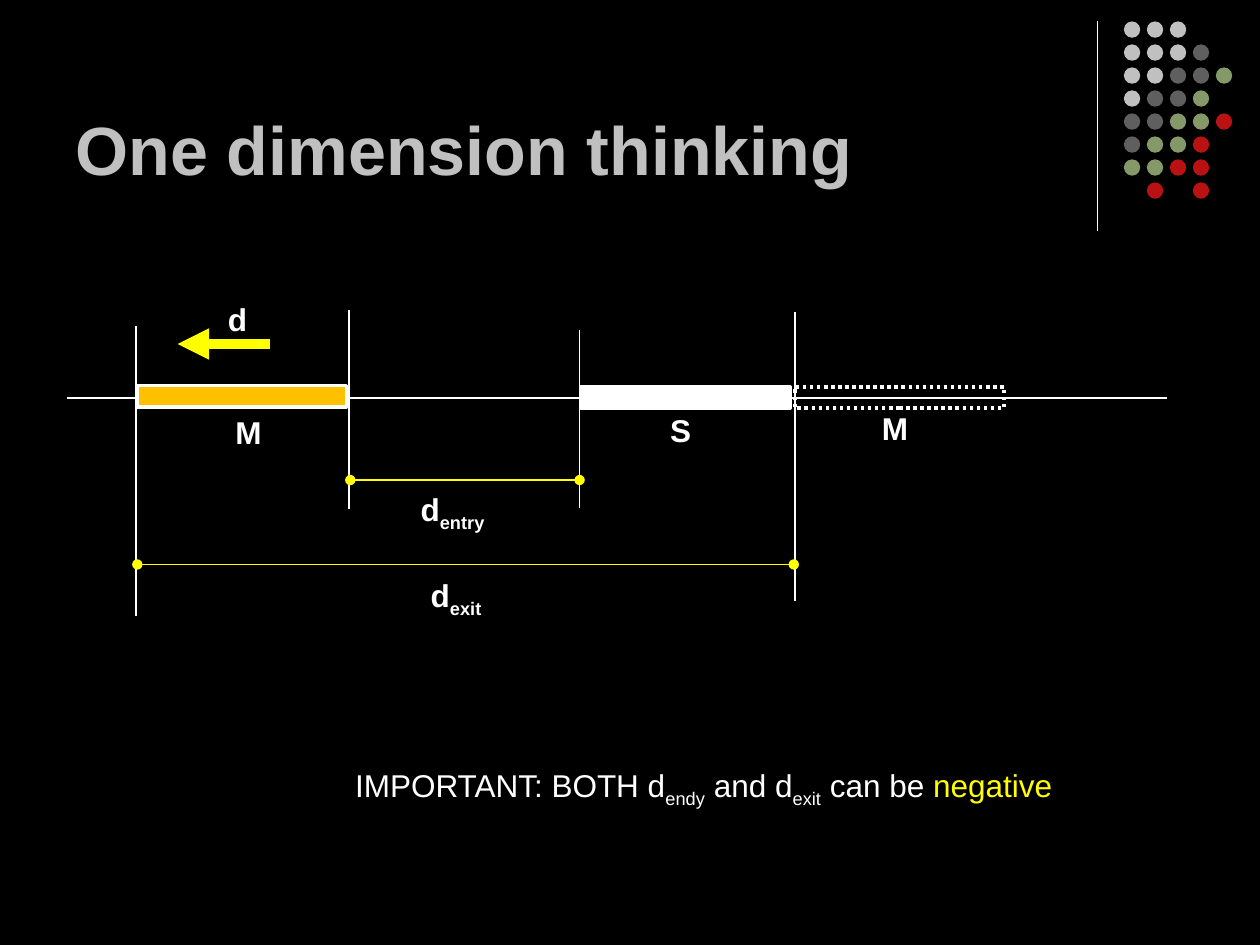
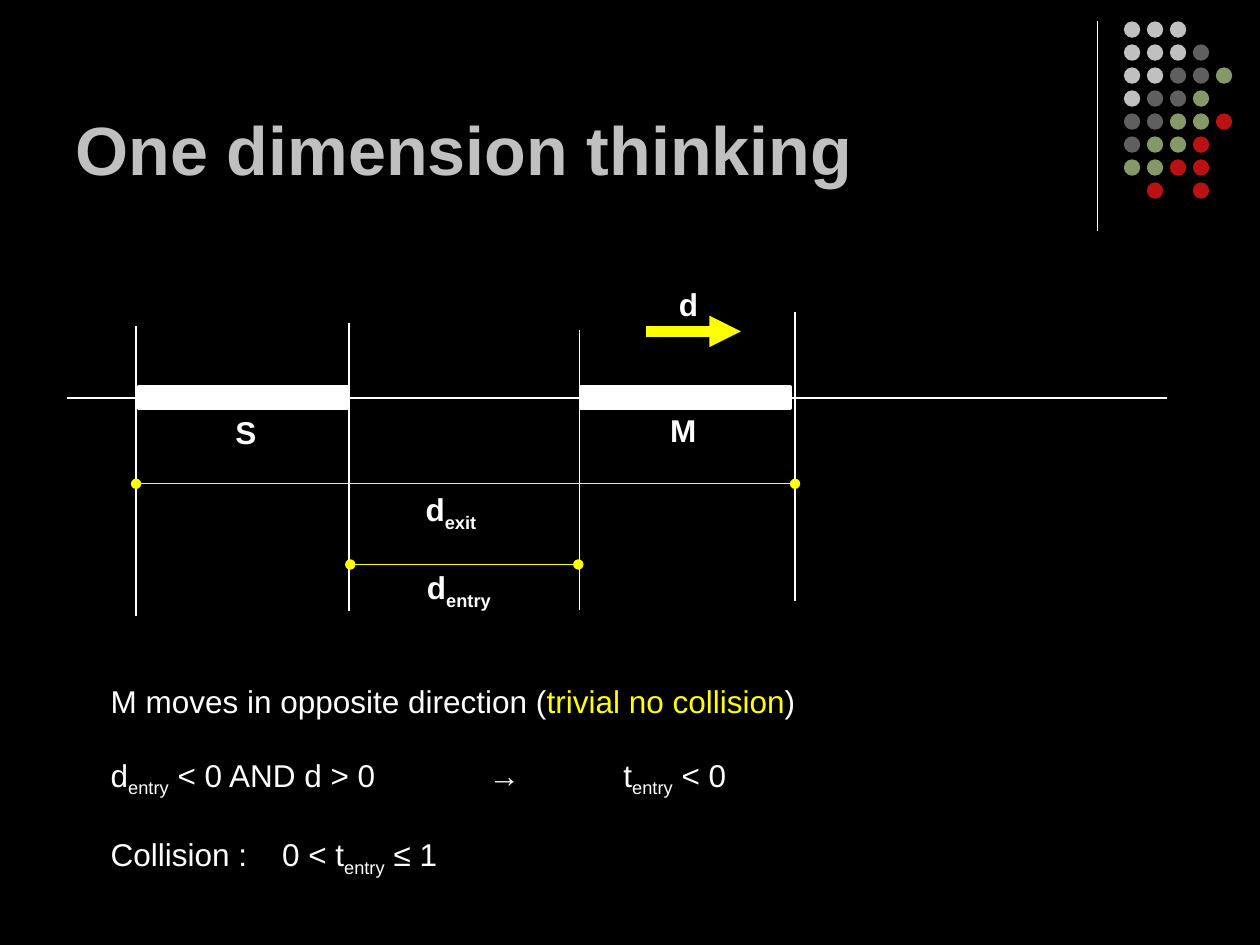
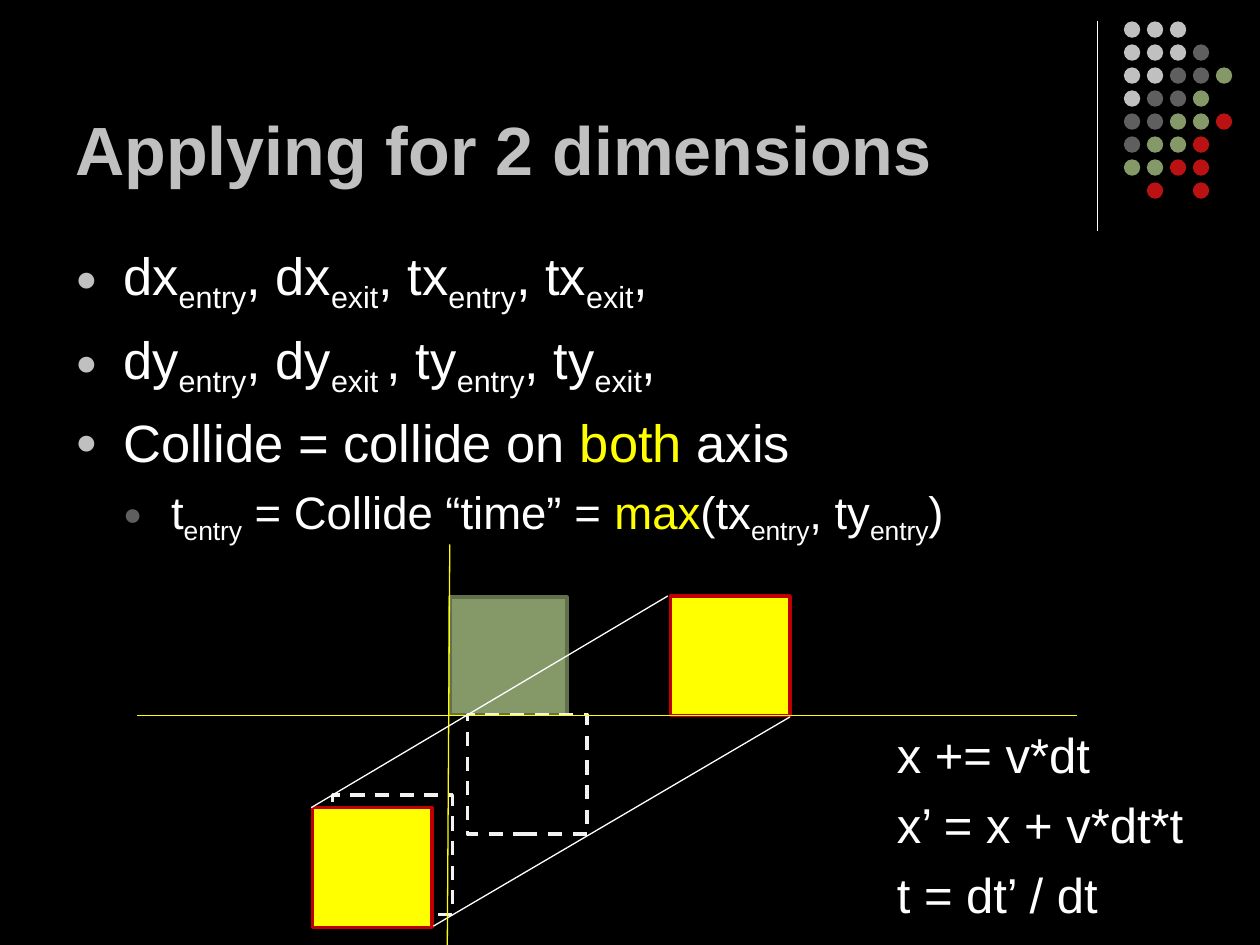
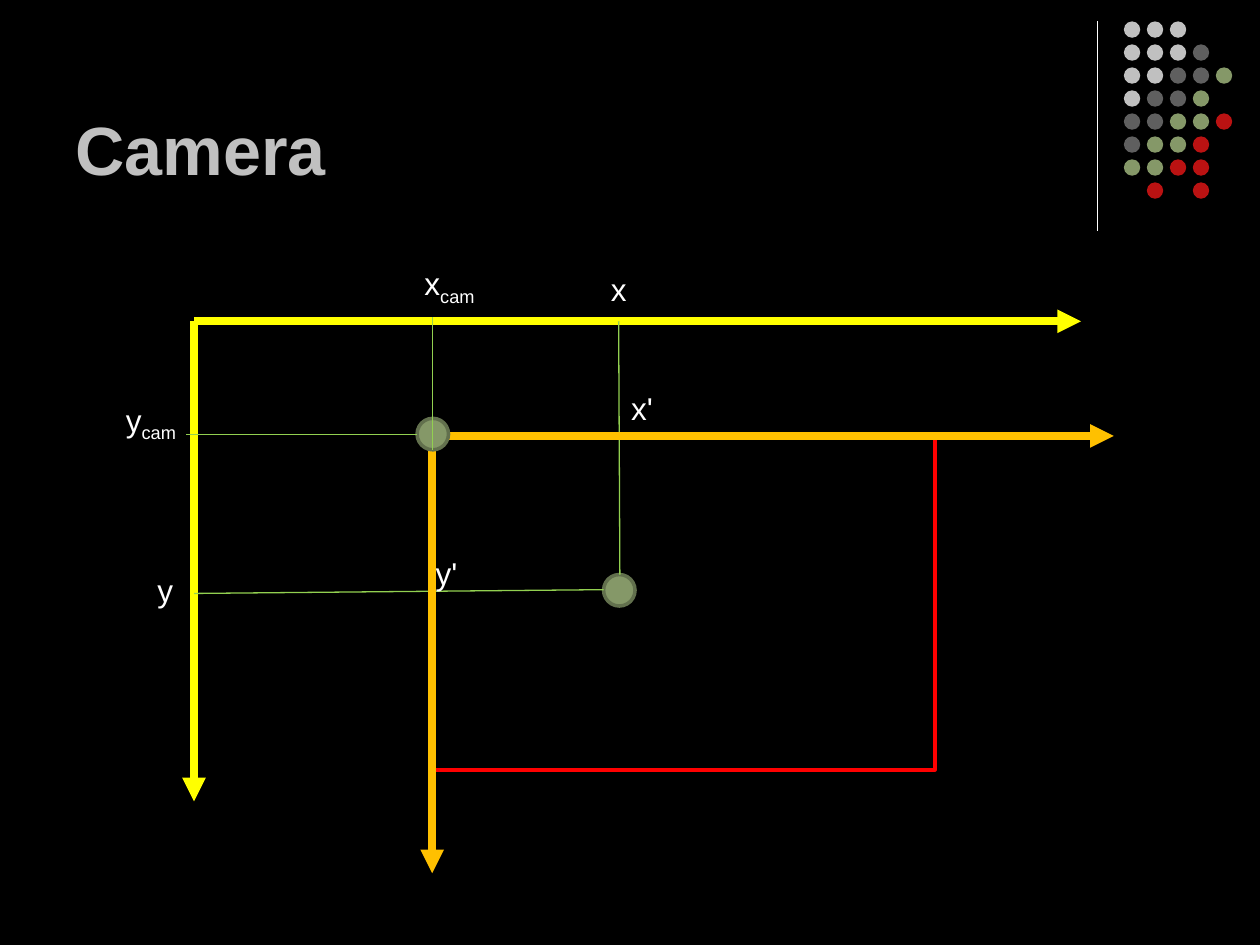
from lxml.etree import SubElement
from pptx import Presentation
from pptx.dml.color import RGBColor
from pptx.enum.dml import MSO_LINE_DASH_STYLE as Dash
from pptx.enum.shapes import MSO_CONNECTOR, MSO_SHAPE as Shape
from pptx.enum.text import MSO_ANCHOR, MSO_AUTO_SIZE
from pptx.oxml.ns import qn
from pptx.util import Inches, Pt

BLACK, WHITE, PALE, SILVER = "000000", "FFFFFF", "F2F2F2", "C0C0C0"
GREY, GREEN, DARK_GREEN, LIME = "5F5F5F", "859868", "62704D", "92D050"
CRIMSON, RED, DARK_RED = "BA1212", "FF0000", "C00000"
YELLOW, ORANGE = "FFFF00", "FFC000"

DOT_ROWS = ["SSS", "SSSG", "SSGGO", "SGGO", "GGOOR", "GOOR", "OORR", " R R"]
DOT_COLORS = {"S": SILVER, "G": GREY, "O": GREEN, "R": CRIMSON}
DOT_PITCH = 0.73 / 4


def rgb(color):
    return RGBColor.from_string(color)


class Deck:
    font = "Arial"

    def __init__(self):
        self.prs = Presentation()
        self.prs.slide_width, self.prs.slide_height = Inches(10), Inches(7.5)
        self.slide = None

    def new_slide(self, title):
        self.slide = self.prs.slides.add_slide(self.prs.slide_layouts[6])
        background = self.slide.background.fill
        background.solid()
        background.fore_color.rgb = rgb(BLACK)
        self.line((8.71, 0.17), (8.71, 1.83))
        dots = self.slide.shapes.add_group_shape().shapes
        for row, marks in enumerate(DOT_ROWS):
            for col, mark in enumerate(marks):
                if mark in DOT_COLORS:
                    place = (8.92 + col * DOT_PITCH, 0.17 + row * DOT_PITCH, 0.13, 0.13)
                    self.shape(place, DOT_COLORS[mark], kind=Shape.OVAL, parent=dots)
        self.text((0.5, 0.13, 8.25, 1.42), [title], size=39, color=SILVER,
                  bold=True, anchor=MSO_ANCHOR.BOTTOM)

    def shape(self, place, fill=None, outline=None, kind=Shape.RECTANGLE, dash=None, parent=None):
        shapes = self.slide.shapes if parent is None else parent
        shape = shapes.add_shape(kind, *map(Inches, place))
        shape.shadow.inherit = False
        if fill:
            shape.fill.solid()
            shape.fill.fore_color.rgb = rgb(fill)
        else:
            shape.fill.background()
        if outline:
            shape.line.color.rgb = rgb(outline)
            shape.line.width = Pt(2)
            if dash:
                shape.line.dash_style = dash
        else:
            shape.line.fill.background()

    def line(self, start, end, color=WHITE, width=0.75, head=None, tail=None):
        connector = self.slide.shapes.add_connector(
            MSO_CONNECTOR.STRAIGHT, *map(Inches, (*start, *end)))
        connector.line.color.rgb = rgb(color)
        connector.line.width = Pt(width)
        properties = connector._element.spPr
        stroke = properties.find(qn("a:ln"))
        for tag, end_type in (("a:headEnd", head), ("a:tailEnd", tail)):
            if end_type:
                SubElement(stroke, qn(tag), type=end_type)
        SubElement(properties, qn("a:effectLst"))

    def arrow(self, start, end, color, width):
        self.line(start, end, color, width, tail="triangle")

    def text(self, place, paragraphs, size=18, color=WHITE, bold=False, wrap=True,
             anchor=MSO_ANCHOR.TOP, space=0, grow=False):
        """Write paragraphs whose parts are split by |: _ marks a subscript, ! a highlight."""
        frame = self.slide.shapes.add_textbox(*map(Inches, place)).text_frame
        frame.word_wrap = wrap
        frame.vertical_anchor = anchor
        frame.auto_size = MSO_AUTO_SIZE.SHAPE_TO_FIT_TEXT if grow else MSO_AUTO_SIZE.NONE
        for index, content in enumerate(paragraphs):
            paragraph = frame.add_paragraph() if index else frame.paragraphs[0]
            if space:
                paragraph.space_before = Pt(space)
            for part in content.split("|"):
                run = paragraph.add_run()
                run.text = part.lstrip("_!")
                run.font.name, run.font.size, run.font.bold = self.font, Pt(size), bold
                run.font.color.rgb = rgb(YELLOW if part.startswith("!") else color)
                if part.startswith("_"):
                    run.font._element.set("baseline", "-25000")
        return frame

    def label(self, left, top, content, width=0.4, bold=False):
        """Place a short one-line label; subscripted ones get a wider, wrapping box."""
        self.text((left, top, width, 0.4), [content], bold=bold, wrap="_" in content, grow=True)

    def bullet(self, paragraph, level, color, size):
        paragraph.level = level
        paragraph.space_before = Pt(0.23 * size)
        properties = paragraph._p.get_or_add_pPr()
        properties.set("marL", str(Inches(0.38 * (level + 1))))
        properties.set("indent", str(-Inches(0.38)))
        SubElement(SubElement(properties, qn("a:buClr")), qn("a:srgbClr"), val=color)
        SubElement(properties, qn("a:buSzPct"), val="70000")
        SubElement(properties, qn("a:buFont"), typeface=self.font)
        SubElement(properties, qn("a:buChar"), char="●")
        for run in paragraph.runs:
            run.font.size = Pt(size)

    def tab_stops(self, frame, stops):
        for paragraph in frame.paragraphs:
            tabs = SubElement(paragraph._p.get_or_add_pPr(), qn("a:tabLst"))
            for stop in stops:
                SubElement(tabs, qn("a:tab"), pos=str(Inches(stop)), algn="l")

    def axis(self):
        self.line((0.53, 3.16), (9.26, 3.16))

    def block(self, left, name, name_at, fill=WHITE, dash=None, top=3.07):
        self.shape((left, top, 1.66, 0.17), fill, WHITE, dash=dash)
        self.label(*name_at, name, bold=True)

    def guides(self, spans):
        for x, top, bottom in spans:
            self.line((x, top), (x, bottom))

    def distance(self, start, end, y, name, name_at):
        self.line((start, y), (end, y), YELLOW, head="oval", tail="oval")
        self.label(*name_at, f"d|_{name}", width=1.04, bold=True)

    def motion(self, start, end, y, name_at):
        self.arrow((start, y), (end, y), YELLOW, 6)
        self.label(*name_at, "d", bold=True)


def approach_slide(deck):
    deck.new_slide("One dimension thinking")
    deck.axis()
    deck.block(4.61, "S", (5.22, 3.21))
    deck.motion(2.14, 1.41, 2.73, (1.71, 2.33))
    deck.block(1.09, "M", (1.77, 3.23), ORANGE, top=3.06)
    deck.block(6.31, "M", (6.9, 3.2), None, Dash.ROUND_DOT)
    deck.guides([(1.08, 2.59, 4.89), (2.77, 2.46, 4.04), (4.6, 2.62, 4.03), (6.31, 2.48, 4.77)])
    deck.distance(2.78, 4.6, 3.81, "entry", (3.24, 3.84))
    deck.distance(1.09, 6.3, 4.48, "exit", (3.32, 4.52))
    deck.text((2.72, 6.03, 6.96, 0.4),
              ["IMPORTANT: BOTH d|_endy| and d|_exit| can be |!negative"], grow=True)


def opposite_slide(deck):
    deck.new_slide("One dimension thinking")
    deck.axis()
    deck.block(4.61, "M", (5.22, 3.21))
    deck.motion(5.13, 5.88, 2.63, (5.29, 2.21))
    deck.block(1.1, "S", (1.77, 3.23))
    deck.guides([(1.08, 2.59, 4.89), (2.77, 2.56, 4.85), (4.6, 2.62, 4.84), (6.31, 2.48, 4.77)])
    deck.distance(1.08, 6.31, 3.84, "exit", (3.28, 3.84))
    deck.distance(2.78, 4.59, 4.48, "entry", (3.29, 4.46))
    conditions = deck.text((0.78, 5.36, 8.38, 1.62), [
        "M moves in opposite direction (|!trivial no collision|)",
        "d|_entry| < 0 AND d > 0\t→\t t|_entry| < 0",
        "Collision :\t0 < t|_entry| ≤ 1",
    ], space=20.7)
    conditions.paragraphs[0].space_before = Pt(0)
    deck.tab_stops(conditions, (1.36, 3, 4))


def two_dimensions_slide(deck):
    deck.new_slide("Applying for 2 dimensions")
    points = deck.text((0.5, 1.88, 9, 2.67), [
        "dx|_entry|, dx|_exit|, tx|_entry|, tx|_exit|,",
        "dy|_entry|, dy|_exit |, ty|_entry|, ty|_exit|,",
        "Collide = collide on |!both| axis",
        "t|_entry| = Collide “time” = |!max|(tx|_entry|, ty|_entry|)",
    ])
    *main_points, detail = points.paragraphs
    for point in main_points:
        deck.bullet(point, 0, SILVER, 30)
    deck.bullet(detail, 1, GREY, 26)

    side = 0.95
    deck.shape((3.57, 4.74, 0.93, 0.93), GREEN, DARK_GREEN)
    deck.shape((2.64, 6.31, side, side), None, PALE, dash=Dash.DASH)
    for left, top in ((5.32, 4.73), (2.48, 6.41)):
        deck.shape((left, top, side, side), YELLOW, DARK_RED)
    deck.line((3.44, 7.35), (6.27, 5.69))
    deck.shape((3.71, 5.67, side, side), None, PALE, dash=Dash.DASH)
    deck.line((1.09, 5.68), (8.55, 5.68), YELLOW)
    deck.line((3.55, 7.5), (3.57, 4.32), YELLOW)
    deck.line((2.47, 6.41), (5.3, 4.73))
    deck.text((7.02, 5.7, 2.83, 2.67), ["x += v*dt", "x’ = x + v*dt*t", "t = dt’ / dt"],
              size=28, space=6.44)


def camera_slide(deck):
    deck.new_slide("Camera")
    for world_end in ((1.54, 6.36), (8.58, 2.55)):
        deck.arrow((1.54, 2.55), world_end, YELLOW, 4.5)
    deck.shape((3.41, 3.48, 4.01, 2.63), None, RED)
    deck.shape((4.79, 4.56, 0.25, 0.25), GREEN, DARK_GREEN, Shape.OVAL)
    deck.line((4.92, 4.56), (4.91, 2.55), LIME)
    deck.line((4.79, 4.68), (1.54, 4.71), LIME)
    for left, top, name in ((4.75, 2.09, "x"), (1.15, 4.48, "y"),
                            (4.91, 3.04, "x'"), (3.36, 4.35, "y'")):
        deck.label(left, top, name, width=0.38 if "'" in name else 0.33)
    deck.arrow((3.41, 3.46), (8.84, 3.46), ORANGE, 4.5)
    deck.arrow((3.43, 3.45), (3.43, 6.93), ORANGE, 4.5)
    deck.shape((3.31, 3.32, 0.25, 0.25), GREEN, DARK_GREEN, Shape.OVAL)
    deck.line((3.43, 3.57), (3.43, 2.52), LIME)
    deck.line((3.31, 3.45), (1.48, 3.45), LIME)
    deck.label(3.27, 2.05, "x|_cam", width=0.74)
    deck.label(0.9, 3.13, "y|_cam", width=0.68)


def main():
    deck = Deck()
    for build in (approach_slide, opposite_slide, two_dimensions_slide, camera_slide):
        build(deck)
    deck.prs.save("out.pptx")


if __name__ == "__main__":
    main()
